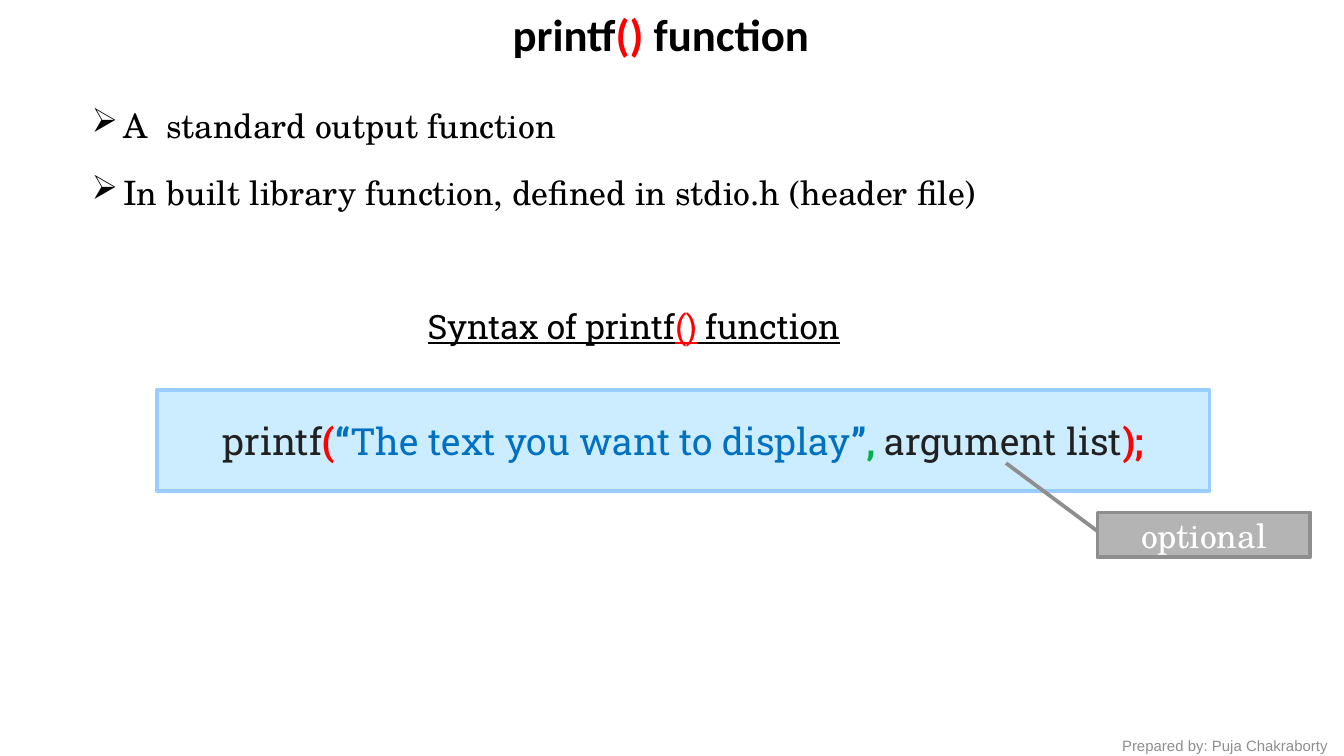
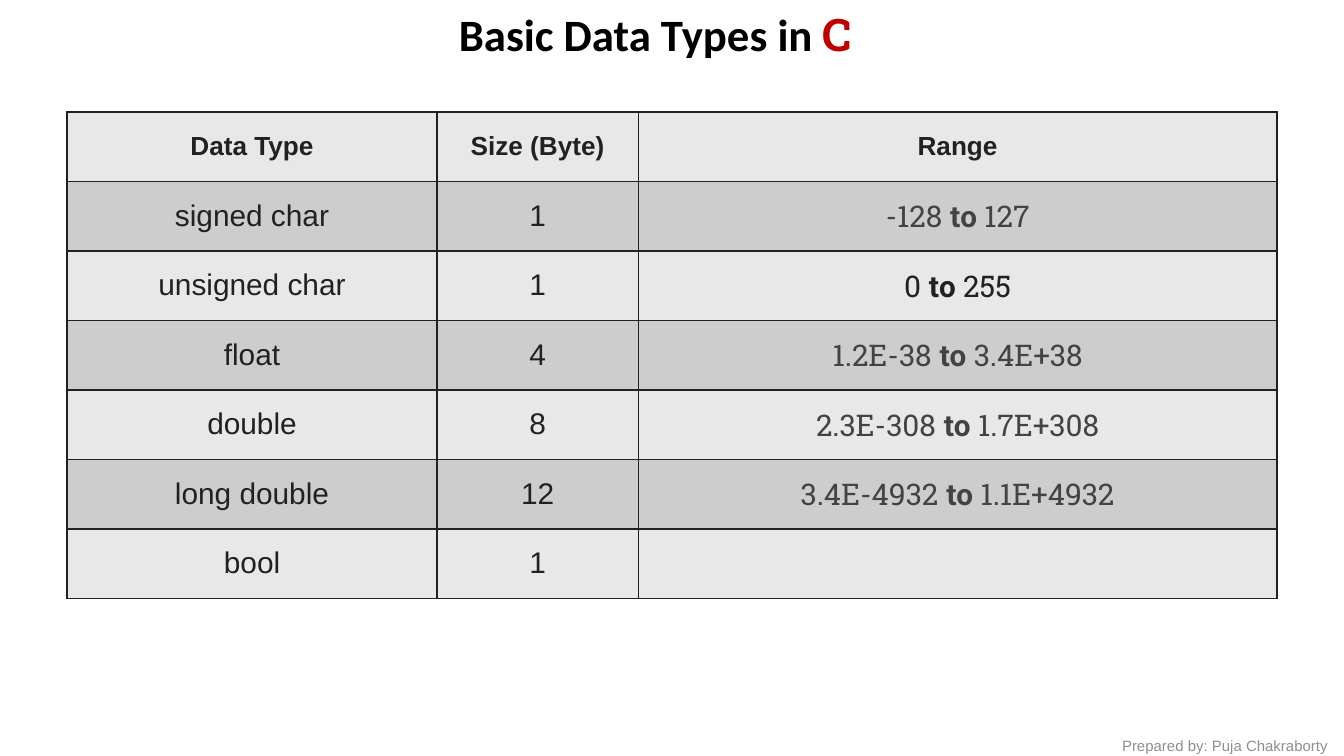
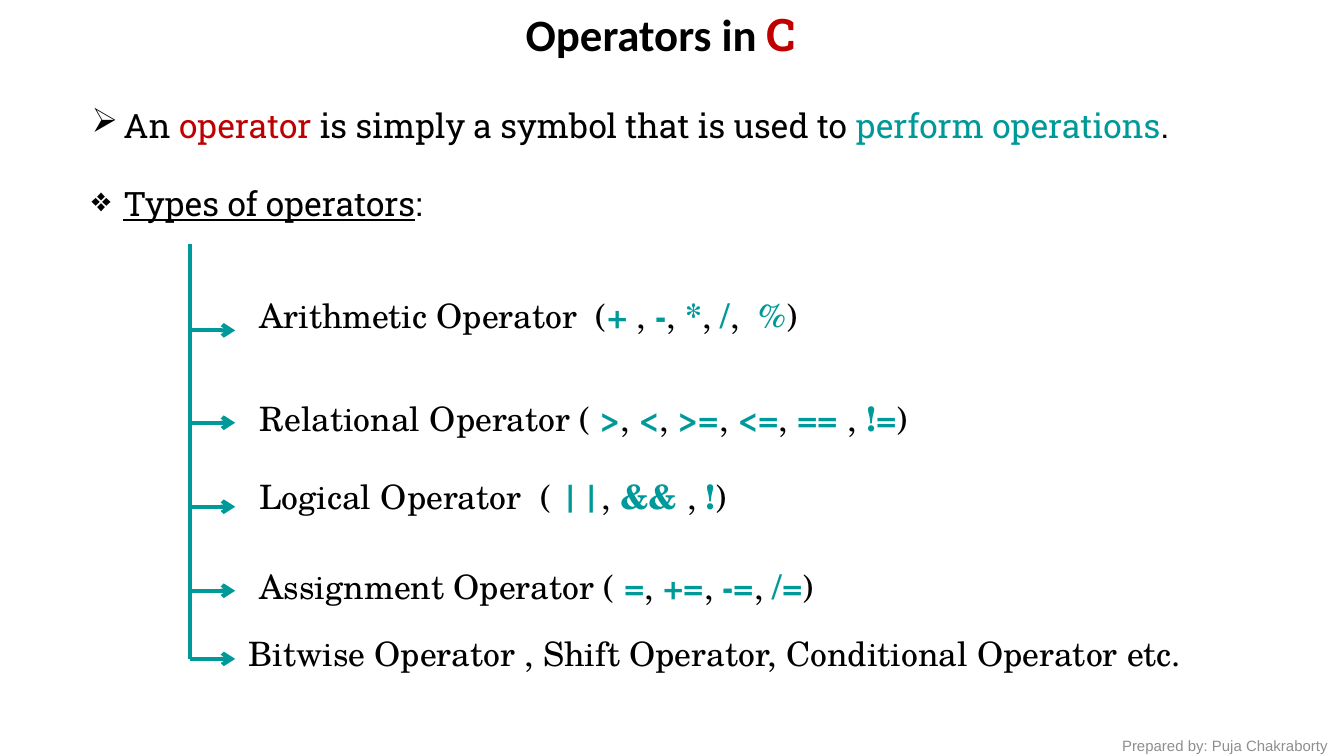
import pptx
import pptx.dml.color
import pptx.enum.shapes
import pptx.enum.text
import pptx.oxml.ns
import pptx.util
from lxml import etree

Pt = pptx.util.Pt
RGBColor = pptx.dml.color.RGBColor
MSO_SHAPE = pptx.enum.shapes.MSO_SHAPE
PP_ALIGN = pptx.enum.text.PP_ALIGN
MSO_ANCHOR = pptx.enum.text.MSO_ANCHOR
qn = pptx.oxml.ns.qn

BLACK = RGBColor(0x00, 0x00, 0x00)
WHITE = RGBColor(0xFF, 0xFF, 0xFF)
DARK = RGBColor(0x21, 0x21, 0x21)
RANGE_GREY = RGBColor(0x43, 0x43, 0x43)
GREY = RGBColor(0x8E, 0x8E, 0x8E)
CALLOUT_GREY = RGBColor(0xB4, 0xB4, 0xB4)
ROW_LIGHT = RGBColor(0xE8, 0xE8, 0xE8)
ROW_DARK = RGBColor(0xCD, 0xCD, 0xCD)
RED = RGBColor(0xFF, 0x00, 0x00)
CRIMSON = RGBColor(0xC0, 0x00, 0x00)
TEAL = RGBColor(0x00, 0x99, 0x99)
BLUE = RGBColor(0x00, 0x70, 0xC0)
GREEN = RGBColor(0x00, 0xB0, 0x50)
SKY = RGBColor(0xCC, 0xEC, 0xFF)
SKY_LINE = RGBColor(0x99, 0xCC, 0xFF)

SLAB = "Roboto Slab"
TITLE = {"name": "Calibri", "size": Pt(24), "bold": True, "color": BLACK}
FOOTER = {"name": "Arial", "size": Pt(8), "color": GREY}
SERIF = {"name": "TeX Gyre Schola", "size": Pt(18), "color": BLACK}
BODY = {**SERIF, "name": SLAB}
CODE = {"name": SLAB, "size": Pt(20), "color": DARK}
CELL = {"name": "Arial", "size": Pt(16), "color": DARK}
HEADER = {**CELL, "size": Pt(14), "bold": True}
SYMBOL = {"color": TEAL, "bold": True}
LANGUAGE = {"name": SLAB, "color": CRIMSON}


def alternate(*parts):
    """Return runs in which every second part is an operator symbol."""
    return [(part, SYMBOL if i % 2 else {}) for i, part in enumerate(parts)]


class Deck:
    def __init__(self):
        self.prs = pptx.Presentation()
        self.prs.slide_width, self.prs.slide_height = Pt(720), Pt(405)
        self.s = None

    def slide(self, *title):
        self.s = self.prs.slides.add_slide(self.prs.slide_layouts[6])
        self.text(594, 391, 132, 17, [("Prepared by: Puja Chakraborty", {})], FOOTER)
        self.text(132, 0, 444, 36, title, TITLE, PP_ALIGN.CENTER)

    def add_runs(self, tf, runs, style, align=None):
        """Fill the first paragraph; each run adds its own format to the style."""
        p = tf.paragraphs[0]
        p.alignment = align
        for text, extra in runs:
            r = p.add_run()
            r.text = text
            for key, value in {**style, **extra}.items():
                if key == "color":
                    r.font.color.rgb = value
                else:
                    setattr(r.font, key, value)
        return p

    def text(self, x, y, w, h, runs, style, align=None):
        tf = self.s.shapes.add_textbox(Pt(x), Pt(y), Pt(w), Pt(h)).text_frame
        tf.word_wrap = True
        tf.auto_size = pptx.enum.text.MSO_AUTO_SIZE.SHAPE_TO_FIT_TEXT
        return self.add_runs(tf, runs, style, align)

    def bullet(self, y, w, runs, style, mark="➢"):
        pPr = self.text(42, y, w, 29, runs, style)._p.get_or_add_pPr()
        pPr.set("marL", str(Pt(17)))
        pPr.set("indent", str(-Pt(17)))
        color = etree.SubElement(pPr, qn("a:buClr"))
        etree.SubElement(color, qn("a:srgbClr"), val=str(BLACK))
        etree.SubElement(pPr, qn("a:buChar"), char=mark)

    def shape(self, kind, x, y, w, h, fill, line, runs, style):
        sp = self.s.shapes.add_shape(kind, Pt(x), Pt(y), Pt(w), Pt(h))
        sp.shadow.inherit = False
        sp.fill.solid()
        sp.fill.fore_color.rgb = fill
        sp.line.color.rgb = line
        sp.line.width = Pt(2)
        sp.text_frame.word_wrap = True
        sp.text_frame.vertical_anchor = MSO_ANCHOR.MIDDLE
        self.add_runs(sp.text_frame, runs, style, PP_ALIGN.CENTER)
        return sp

    def line(self, x1, y1, x2, y2, arrow=False):
        cn = self.s.shapes.add_connector(
            pptx.enum.shapes.MSO_CONNECTOR.STRAIGHT, Pt(x1), Pt(y1), Pt(x2), Pt(y2))
        cn.line.color.rgb = TEAL
        cn.line.width = Pt(2.25)
        if arrow:
            etree.SubElement(cn.get_or_add_ln(), qn("a:tailEnd"), type="arrow")
        etree.SubElement(cn._element.spPr, qn("a:effectLst"))

    def border(self, cell):
        tcPr = cell._tc.get_or_add_tcPr()
        for i, side in enumerate("LRTB"):
            ln = etree.Element(qn(f"a:ln{side}"), w=str(Pt(1)))
            fill = etree.SubElement(ln, qn("a:solidFill"))
            etree.SubElement(fill, qn("a:srgbClr"), val=str(DARK))
            tcPr.insert(i, ln)

    def table(self, x, y, widths, row_height, rows):
        """Draw rows of cells, each cell being a list of runs."""
        frame = self.s.shapes.add_table(
            len(rows), len(widths), Pt(x), Pt(y), Pt(sum(widths)), Pt(row_height * len(rows)))
        tbl = frame.table
        tbl.first_row = tbl.horz_banding = False
        for column, width in zip(tbl.columns, widths):
            column.width = Pt(width)
        for i, row in enumerate(rows):
            tbl.rows[i].height = Pt(row_height)
            for j, runs in enumerate(row):
                cell = tbl.cell(i, j)
                cell.vertical_anchor = MSO_ANCHOR.MIDDLE
                cell.fill.solid()
                cell.fill.fore_color.rgb = ROW_DARK if i % 2 else ROW_LIGHT
                self.border(cell)
                self.add_runs(cell.text_frame, runs, CELL if i else HEADER, PP_ALIGN.CENTER)


def printf_slide(deck):
    deck.slide(("printf", {}), ("()", {"color": RED}), (" function", {}))
    deck.bullet(52.5, 288, [("A  standard output function", {})], SERIF)
    deck.bullet(88.5, 534, [
        ("In built library function, defined in stdio.h (header file)", {})], SERIF)
    deck.text(222, 160.5, 258, 29, [
        ("Syntax of printf", {}), ("()", {"color": RED}), (" function", {})],
        {**BODY, "underline": True})

    red, quote = {"color": RED, "bold": True}, {"color": BLUE, "bold": True}
    deck.shape(MSO_SHAPE.RECTANGLE, 84, 209, 564, 54, SKY, SKY_LINE, [
        ("printf", {}), ("(", red), ("“", quote),
        ("The text you want to display", {"color": BLUE}), ("”", quote),
        (", ", {"color": GREEN, "bold": True}), ("argument list", {}), (");", red)], CODE)
    callout = deck.shape(MSO_SHAPE.LINE_CALLOUT_1, 588, 274.5, 114, 24, CALLOUT_GREY, GREY,
                         [("optional", {})], {**SERIF, "color": WHITE})
    for i, value in enumerate((0.42, 0, -1.1, -0.43)):
        callout.adjustments[i] = value


def data_types_slide(deck):
    deck.slide(("Basic Data Types in ", {}), ("C ", LANGUAGE))
    types = [
        ("signed char", "1", "-128", "127", RANGE_GREY),
        ("unsigned char", "1", "0", "255", DARK),
        ("float", "4", "1.2E-38", "3.4E+38", RANGE_GREY),
        ("double", "8", "2.3E-308", "1.7E+308", RANGE_GREY),
        ("long double", "12", "3.4E-4932", "1.1E+4932", RANGE_GREY),
    ]
    rows = [[[(head, {})] for head in ("Data Type", "Size (Byte)", "Range")]]
    for name, size, low, high, color in types:
        style = {"name": SLAB, "color": color}
        limits = [(low + " ", style), ("to", {**style, "bold": True}), (" " + high, style)]
        rows.append([[(name, {})], [(size, {})], limits])
    rows.append([[("bool", {})], [("1", {})], []])
    deck.table(36, 60, (198, 108, 342), 37.23, rows)


def operators_slide(deck):
    deck.slide(("Operators in ", {}), ("C", LANGUAGE))
    deck.bullet(52.5, 624, [
        ("An ", {}), ("operator", {"color": CRIMSON}),
        (" is simply a symbol that is used to ", {}),
        ("perform operations", {"color": TEAL}), (".", {})], BODY)
    deck.bullet(94.5, 624, [("Types of operators", {"underline": True}), (":", {})], BODY, "❖")

    arithmetic = alternate("Arithmetic Operator  (", "+", " , ", "-", ", ", "*", ", ", "/", ",  ")
    arithmetic += [("%", {"color": TEAL}), (")", {})]
    relational = alternate("Relational Operator ( ", ">", ", ", "<", ", ", ">=", ", ", "<=",
                           ", ", "==", " , ", "!=", ")")
    logical = alternate("Logical Operator  ( ", "||", ", ", "&& ", ", ", "!", ")")
    assignment = alternate("Assignment Operator ( ", "=", ", ", "+=", ", ", "-=", ", ", "/=", ")")
    others = alternate("Bitwise Operator , Shift Operator, Conditional Operator etc.")

    trunk, tip, bottom = 102, 126, 353
    deck.line(trunk, bottom, trunk, 130.5)
    for arrow_y, x, y, w, runs in (
            (177, 132, 154.5, 312, arithmetic),
            (226.5, 132, 209.5, 462, relational),
            (271.5, 132, 251.5, 462, logical),
            (316.5, 132, 299.5, 414, assignment),
            (bottom, 126, 335.5, 528, others)):
        deck.line(trunk, arrow_y, tip, arrow_y, arrow=True)
        deck.text(x, y, w, 29, runs, SERIF)


def main():
    deck = Deck()
    printf_slide(deck)
    data_types_slide(deck)
    operators_slide(deck)
    deck.prs.save("out.pptx")


if __name__ == "__main__":
    main()
